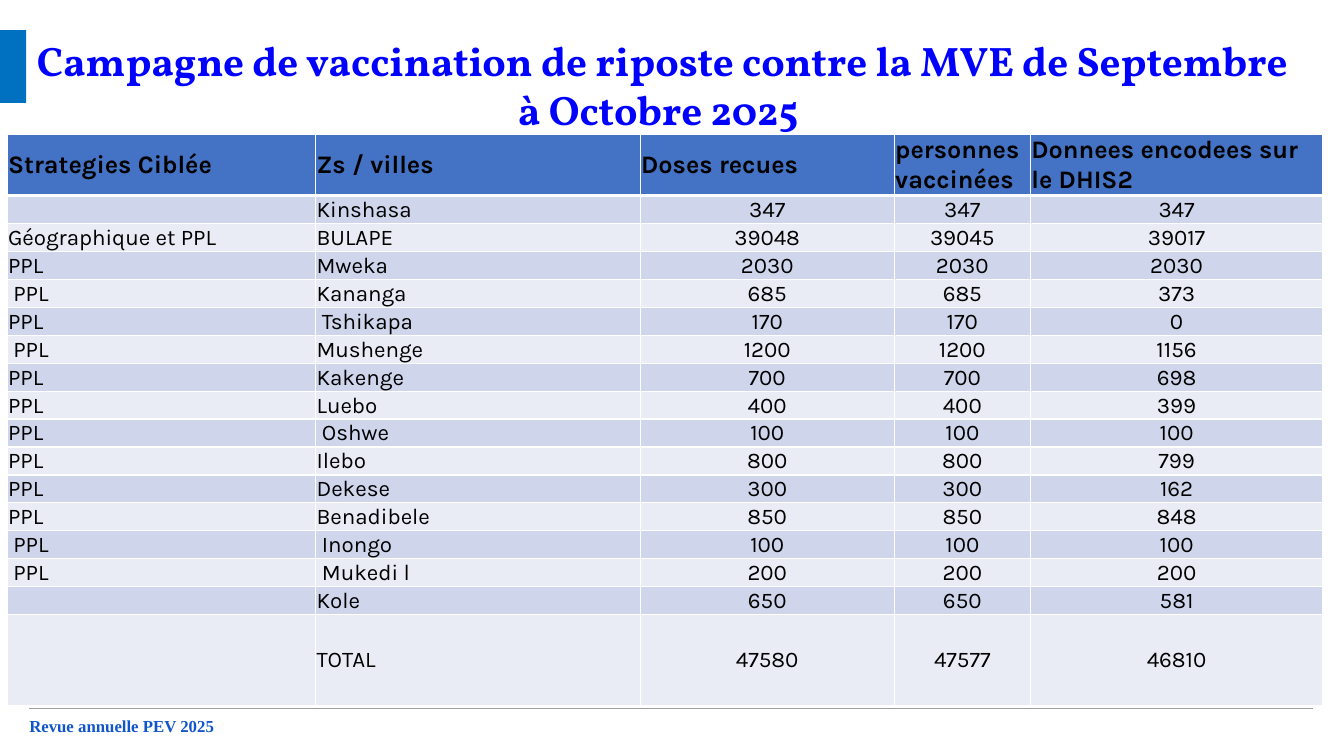
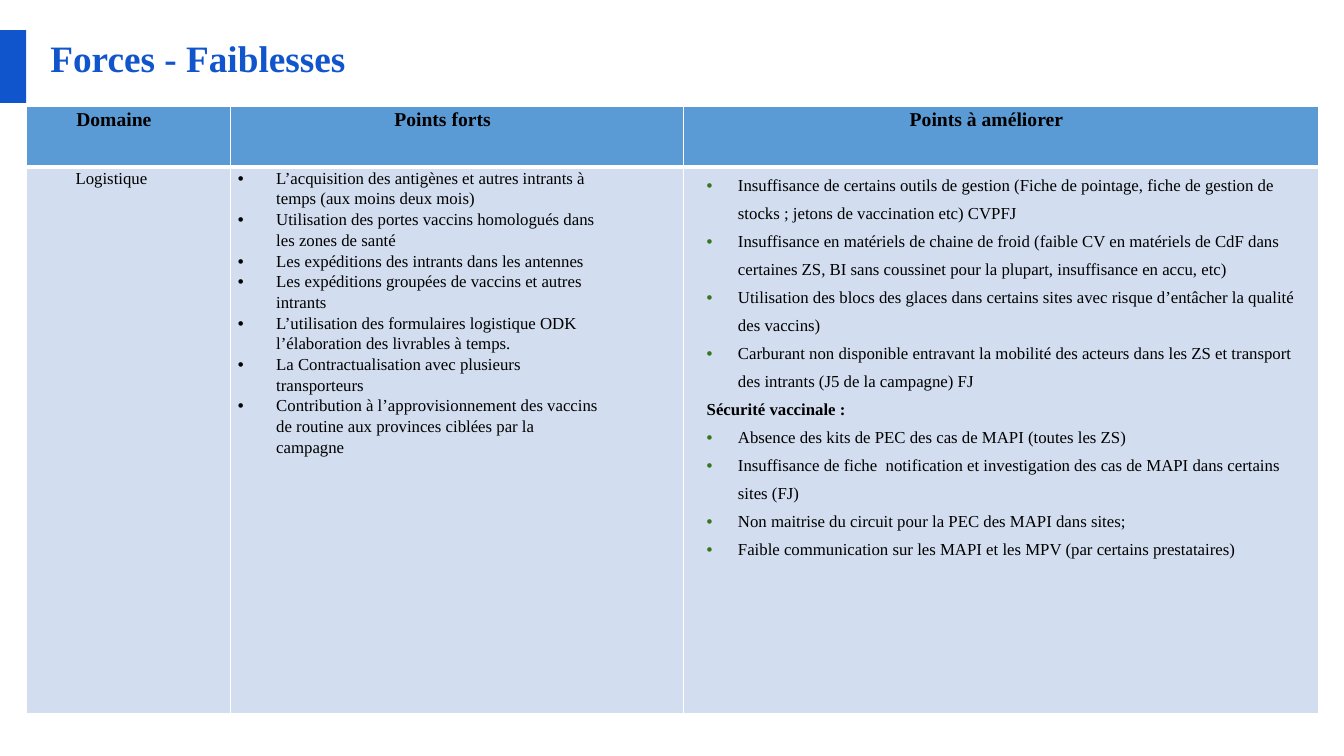
from dataclasses import dataclass
from lxml import etree
from pptx import Presentation
from pptx import util as u
from pptx.dml import color
from pptx.enum import shapes, text
from pptx.oxml import ns

LEFT, MID, JUST = text.PP_ALIGN.LEFT, text.PP_ALIGN.CENTER, text.PP_ALIGN.JUSTIFY


@dataclass(frozen=True)
class Theme:
    """Colours, fonts and type sizes of the deck."""
    serif: str = "Times New Roman"
    sans: str = "Karla"
    show: str = "Vollkorn"
    ink: str = "000000"
    white: str = "FFFFFF"
    blue: str = "1155CC"
    vivid: str = "0000FF"
    band: str = "0070C0"
    rule: str = "9E9E9E"
    green: str = "38761D"
    head: str = "4472C4"
    odd: str = "CFD5EA"
    even: str = "E9EBF5"
    sky: str = "5B9BD5"
    pale: str = "D2DEEF"
    big: float = 29.4
    title: float = 26.6
    top: float = 18
    cell: float = 16
    label: float = 14
    body: float = 12


T = Theme()


@dataclass(frozen=True)
class Look:
    """Type and paragraph settings of a text."""
    font: str
    size: float
    tint: str = T.ink
    bold: bool = False
    align: object = LEFT
    left: float = 0
    hang: float = 0
    right: float = 0
    lead: float = 0
    after: float = 0
    dot: str = ""
    tab: float = 0


def rgb(code):
    """Turn a hex code into a colour."""
    return color.RGBColor.from_string(code)


def node(home, tag, **attrs):
    """Append a drawing element to a parent."""
    item = etree.SubElement(home, ns.qn("a:" + tag))
    for key, val in attrs.items():
        item.set(key, str(val))
    return item


class Deck:
    """Holds the file and the current slide."""

    def __init__(self):
        """Open a wide blank file."""
        self.prs = Presentation()
        self.prs.slide_width = u.Inches(13.33)
        self.prs.slide_height = u.Inches(7.5)
        self.page = None

    def slide(self, lines, look, left, width, band):
        """Start a slide with its title and side band."""
        self.page = self.prs.slides.add_slide(self.prs.slide_layouts[6])
        self.box(lines, look, left, 0.35, width, 0.8)
        bar = self.page.shapes.add_shape(
            shapes.MSO_SHAPE.RECTANGLE, 0, u.Inches(0.3), u.Inches(0.26), u.Inches(0.72))
        bar.shadow.inherit = False
        bar.fill.solid()
        bar.fill.fore_color.rgb = rgb(band)
        bar.line.fill.background()

    def style(self, par, words, look):
        """Write and format one paragraph."""
        par.text = words
        par.alignment = look.align
        if look.lead:
            par.line_spacing = look.lead
        if look.after:
            par.space_after = u.Pt(look.after)
        props = par._p.get_or_add_pPr()
        for key, val in (("marL", look.left), ("marR", look.right), ("indent", look.hang)):
            if val:
                props.set(key, str(u.Inches(val)))
        if look.dot:
            node(node(props, "buClr"), "srgbClr", val=look.dot)
            node(props, "buFont", typeface="Arial")
            node(props, "buChar", char="•")
        if look.tab:
            node(node(props, "tabLst"), "tab", pos=u.Inches(look.tab), algn="l")
        if not words:
            node(par._p, "endParaRPr", sz=int(look.size * 100))
        font = par.font
        font.name, font.size, font.bold = look.font, u.Pt(look.size), look.bold
        font.color.rgb = rgb(look.tint)

    def fill(self, frame, items):
        """Put pairs of words and look into a text frame."""
        for n, (words, look) in enumerate(items):
            par = frame.add_paragraph() if n else frame.paragraphs[0]
            self.style(par, words, look)

    def box(self, lines, look, left, top, width, height, grow=False):
        """Add a text box without padding."""
        frame = self.page.shapes.add_textbox(*map(u.Inches, (left, top, width, height))).text_frame
        frame.word_wrap = True
        frame.margin_left = frame.margin_right = frame.margin_top = frame.margin_bottom = 0
        if grow:
            frame.auto_size = text.MSO_AUTO_SIZE.SHAPE_TO_FIT_TEXT
        self.fill(frame, [(line, look) for line in lines])

    def foot(self, words):
        """Add the footer rule and its text."""
        line = self.page.shapes.add_connector(
            shapes.MSO_CONNECTOR.STRAIGHT, *map(u.Inches, (0.29, 7.03, 13.02, 7.03)))
        line.line.color.rgb = rgb(T.rule)
        line.line.width = u.Pt(0.75)
        node(line._element.spPr, "effectLst")
        self.box([words], Look(T.serif, T.body, T.blue, True), 0.29, 7.1, 12.48, 0.2, True)

    def table(self, left, top, cols, rows, cells, fills, pads, anchor):
        """Add a table whose first fill is for the header."""
        grid = self.page.shapes.add_table(
            len(rows), len(cols), *map(u.Inches, (left, top, sum(cols), sum(rows)))).table
        grid.first_row = grid.horz_banding = False
        for col, width in zip(grid.columns, cols):
            col.width = u.Inches(width)
        for row, height in zip(grid.rows, rows):
            row.height = u.Inches(height)
        for r, line in enumerate(cells):
            tint = fills[1 + (r - 1) % (len(fills) - 1)] if r else fills[0]
            for c, items in enumerate(line):
                self.cell(grid.cell(r, c), items, r, tint, pads, anchor)

    def cell(self, cell, items, r, tint, pads, anchor):
        """Format one table cell."""
        cell.margin_left, cell.margin_top, cell.margin_right, cell.margin_bottom = map(u.Inches, pads)
        cell.vertical_anchor = anchor
        props = cell._tc.get_or_add_tcPr()
        for side, thick in (("L", 1), ("R", 1), ("T", 3 if r == 1 else 1), ("B", 1 if r else 3)):
            edge = node(props, "ln" + side, w=u.Pt(thick))
            node(node(edge, "solidFill"), "srgbClr", val=T.white)
        cell.fill.solid()
        cell.fill.fore_color.rgb = rgb(tint)
        self.fill(cell.text_frame, items)


DOSES = [
    ("", "Kinshasa", 347, 347, 347),
    ("Géographique et PPL", "BULAPE ", 39048, 39045, 39017),
    ("PPL", "Mweka ", 2030, 2030, 2030),
    (" PPL", "Kananga ", 685, 685, 373),
    ("PPL", " Tshikapa ", 170, 170, 0),
    (" PPL", "Mushenge ", 1200, 1200, 1156),
    ("PPL", "Kakenge", 700, 700, 698),
    ("PPL", "Luebo ", 400, 400, 399),
    ("PPL", " Oshwe ", 100, 100, 100),
    ("PPL", "Ilebo ", 800, 800, 799),
    ("PPL", "Dekese", 300, 300, 162),
    ("PPL", "Benadibele ", 850, 850, 848),
    (" PPL", " Inongo ", 100, 100, 100),
    (" PPL", " Mukedi l", 200, 200, 200),
    ("", "Kole", 650, 650, 581),
    ("", "TOTAL", 47580, 47577, 46810),
]
HEADS = ["Strategies Ciblée", "Zs / villes", "Doses recues", "personnes vaccinées",
         "Donnees encodees sur le DHIS2"]
GOOD = [
    "L’acquisition des antigènes et autres intrants à temps (aux moins deux mois)",
    "Utilisation des portes vaccins homologués dans les zones de santé",
    "Les expéditions des intrants dans les antennes",
    "Les expéditions groupées de vaccins et autres intrants",
    "L’utilisation des formulaires logistique ODK l’élaboration des livrables à temps.",
    "La Contractualisation avec plusieurs transporteurs",
    "Contribution à l’approvisionnement des vaccins de routine aux provinces ciblées par la campagne",
]
STOCK = [
    "Insuffisance de certains outils de gestion (Fiche de pointage, fiche de gestion de stocks ; "
    "jetons de vaccination etc) CVPFJ",
    "Insuffisance en matériels de chaine de froid (faible CV en matériels de CdF dans certaines ZS, "
    "BI sans coussinet pour la plupart, insuffisance en accu, etc)",
    "Utilisation des blocs des glaces dans certains sites avec risque d’entâcher la qualité des vaccins)",
    "Carburant non disponible entravant la mobilité des acteurs dans les ZS et transport des intrants "
    "(J5 de la campagne) FJ",
]
SAFE = [
    "Absence des kits de PEC des cas de MAPI (toutes les ZS)",
    "Insuffisance de fiche  notification et investigation des cas de MAPI dans certains sites (FJ)",
    "Non maitrise du circuit pour la PEC des MAPI dans sites;",
    "Faible communication sur les MAPI et les MPV (par certains prestataires)",
]


def doses(deck):
    """Build the campaign slide."""
    deck.slide(["Campagne de vaccination de riposte contre la MVE de Septembre", "à Octobre 2025 "],
               Look(T.show, T.big, T.vivid, True, MID), 0.31, 12.52, T.band)
    deck.foot("Revue annuelle PEV 2025")
    head = Look(T.sans, T.top, bold=True)
    name = Look(T.sans, T.cell, align=JUST)
    num = Look(T.sans, T.cell, align=MID)
    cells = [[[(word, head)] for word in HEADS]]
    cells += [[[(str(val), num if c > 1 else name)] for c, val in enumerate(row)] for row in DOSES]
    first, last, full = 0.61, 0.9, 5.67
    count = len(DOSES) - 1
    rows = [first] + [(full - first - last) / count] * count + [last]
    deck.table(0.07, 1.33, [3.06, 3.22, 2.52, 1.35, 2.9], rows, cells,
               [T.head, T.odd, T.even], (0.01, 0.01, 0.01, 0), text.MSO_ANCHOR.MIDDLE)


def points(deck):
    """Build the strengths and weaknesses slide."""
    deck.slide(["Forces - Faiblesses"], Look(T.serif, T.title, T.blue, True), 0.5, 12.33, T.blue)
    wide = dict(left=0.43, hang=-0.01, right=0.71, lead=1.11, after=10.3)
    head = Look(T.serif, T.label, bold=True, align=MID, **wide)
    area = Look(T.serif, T.body, align=JUST, **wide)
    good = Look(T.serif, T.body, left=0.38, hang=-0.38, right=0.71, lead=1.11, dot=T.ink, tab=0.25)
    weak = Look(T.serif, T.body, left=0.47, hang=-0.31, lead=1.5, dot=T.green)
    sub = Look(T.serif, T.body, bold=True, left=0.16, lead=1.5)
    cells = [
        [[(word, head)] for word in ("Domaine", "Points forts", "Points à améliorer")],
        [[("Logistique ", area)],
         [(line, good) for line in GOOD],
         [(line, weak) for line in STOCK] + [("Sécurité vaccinale :", sub)]
         + [(line, weak) for line in SAFE]],
    ]
    deck.table(0.26, 1.06, [2.03, 4.49, 6.3], [0.6, 5.42], cells,
               [T.sky, T.pale], (0.07, 0, 0.07, 0), text.MSO_ANCHOR.TOP)


def main():
    """Build and save the deck."""
    deck = Deck()
    doses(deck)
    points(deck)
    deck.prs.save("out.pptx")


if __name__ == "__main__":
    main()
